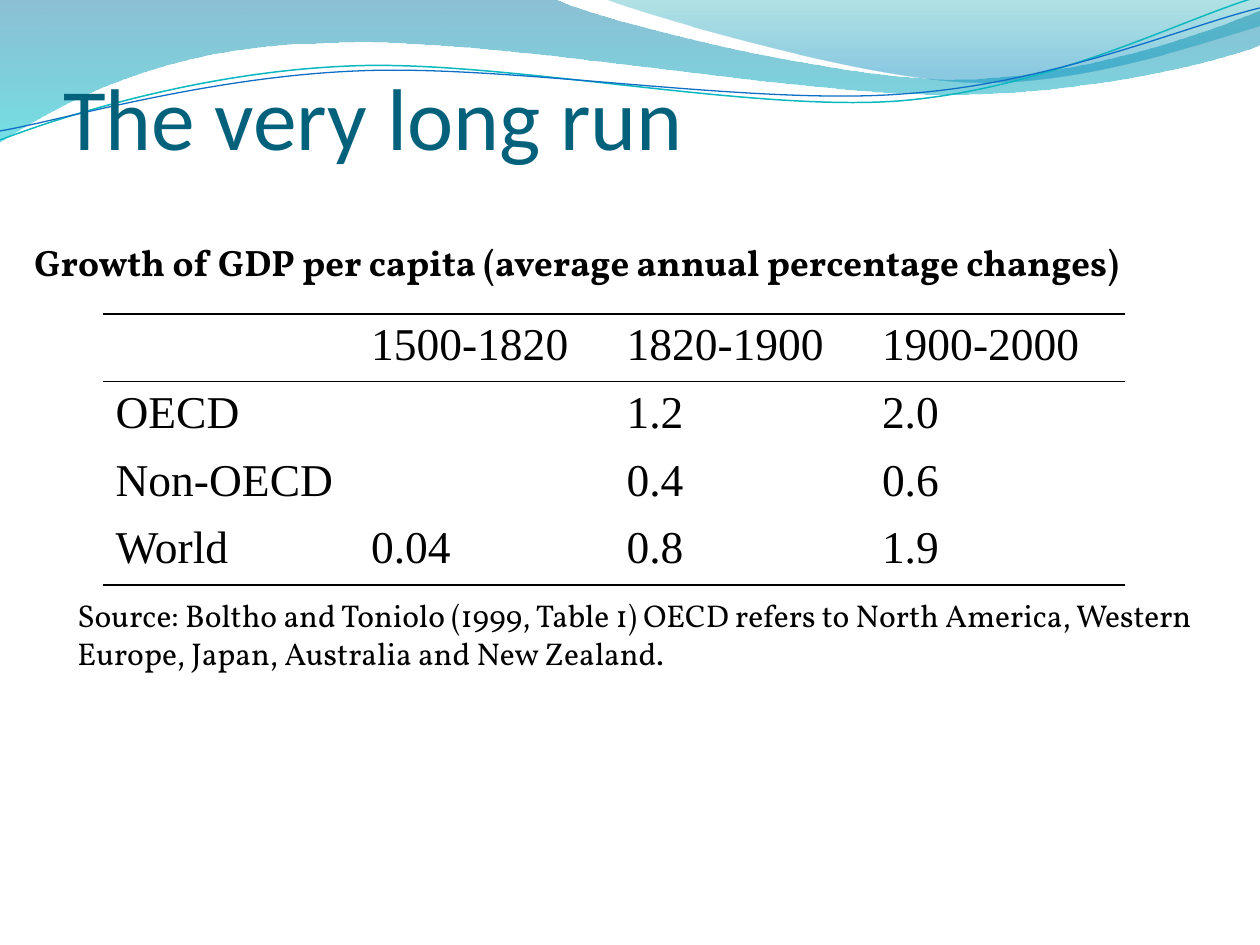
from lxml.etree import SubElement
from pptx import Presentation
from pptx.dml.color import RGBColor
from pptx.enum.text import MSO_ANCHOR as Anchor, MSO_AUTO_SIZE as AutoSize, PP_ALIGN as Align
from pptx.oxml.ns import qn
from pptx.util import Emu, Pt

COLORS = {"title": "04617B", "text": "000000", "rule": "000000",
          "teal": "0AB8BF", "blue": "0F6FC6", "deep": "0074A1",
          "aqua": "00C6CF", "sea": "00A1A9", "sky": "008BBF"}
TITLE = "The very long run"
CAPTION = "Growth of GDP per capita (average annual percentage changes)"
SOURCE = ("Source: Boltho and Toniolo (1999, Table 1) OECD refers to North America, "
          "Western Europe, Japan, Australia and New Zealand.")
ROWS = [("", "1500-1820", "1820-1900", "1900-2000"),
        ("OECD", "", "1.2", "2.0"),
        ("Non-OECD", "", "0.4", "0.6"),
        ("World", "0.04", "0.8", "1.9")]
RULES = {0: ("T", "B"), 1: ("T",), 3: ("B",)}
BANDS = [
    ([(0, 0), (554, -1), (600, 21, 837, 79, 955, 79), (1075, 79, 1207, 33, 1260, 11),
      (1261, 45), (1239, 55, 1096, 96, 940, 94), (784, 94, 481, 35, 324, 43),
      (163, 45, 58, 105, -1, 142)], [(0, "deep", 45), (100, "aqua", 55)]),
    ([(604, -1), (641, 14, 859, 78, 969, 82), (1079, 87, 1211, 40, 1260, 26),
      (1260, 0)], [(0, "sea", 30), (80, "sky", 45)]),
]
STRANDS = [
    ([(0, 140), (60, 117, 199, 72, 349, 66), (498, 59, 747, 112, 898, 101),
      (1050, 89, 1182, 19, 1257, -3)], "teal", 0.85),
    ([(0, 131), (59, 121, 207, 77, 357, 71), (508, 64, 752, 106, 903, 94),
      (1053, 84, 1185, 26, 1260, 8)], "blue", 0.75),
]
SCALE = 914400 / 126
HANGING = 49


def px(value):
    """Turn pixels into EMU."""
    return Emu(round(value * SCALE))


def color(name):
    """Look up a colour by name."""
    return RGBColor.from_string(COLORS[name])


def add_wave(page, outline, close):
    """Add one outline of lines and cubic curves."""
    points = [(px(part[i]), px(part[i + 1]))
              for part in outline for i in range(0, len(part), 2)]
    builder = page.shapes.build_freeform(*points[0])
    builder.add_line_segments(points[1:], close=close)
    wave = builder.convert_to_shape()
    wave.shadow.inherit = False
    segments = iter(list(wave._element.iter(qn("a:lnTo"))))
    for part in outline[1:]:
        group = [next(segments) for _ in range(len(part) // 2)]
        if len(group) == 3:
            first = group[0]
            curve = SubElement(first.getparent(), qn("a:cubicBezTo"))
            first.addprevious(curve)
            for segment in group:
                curve.append(segment[0])
                segment.getparent().remove(segment)
    return wave


def fill_gradient(shape, stops):
    """Fill a shape from top to bottom with translucent stops."""
    shape.fill.gradient()
    shape.fill.gradient_angle = 270
    for stop, (position, name, _) in zip(shape.fill.gradient_stops, stops):
        stop.position = position / 100
        stop.color.rgb = color(name)
    for node, (_, _, opacity) in zip(shape._element.iter(qn("a:srgbClr")), stops):
        SubElement(node, qn("a:alpha"), val=str(opacity * 1000))


def write(para, text, font, size, name="text", bold=False):
    """Add one formatted run."""
    span = para.add_run()
    span.text = text
    span.font.name = font
    span.font.size = Pt(size)
    span.font.bold = bold
    span.font.color.rgb = color(name)


def place(box, left, top, width, height):
    """Put a box at a pixel position."""
    box.left, box.top, box.width, box.height = map(px, (left, top, width, height))


def add_label(page, bounds, text, size, wrap, align, bold=False, inset=6):
    """Add a text box of one paragraph."""
    box = page.shapes.add_textbox(*map(px, bounds))
    frame = box.text_frame
    frame.word_wrap = wrap
    frame.auto_size = AutoSize.SHAPE_TO_FIT_TEXT
    frame.vertical_anchor = Anchor.MIDDLE
    frame.margin_top = px(inset)
    frame.paragraphs[0].alignment = align
    write(frame.paragraphs[0], text, "Vollkorn", size, bold=bold)


def rule_cell(cell, sides):
    """Draw the given sides of a cell and clear the others."""
    props = cell._tc.get_or_add_tcPr()
    for side in "LRTB":
        line = SubElement(props, qn("a:ln" + side), w=str(Pt(1)))
        if side in sides:
            solid = SubElement(line, qn("a:solidFill"))
            SubElement(solid, qn("a:srgbClr"), val=COLORS["rule"])
        else:
            SubElement(line, qn("a:noFill"))
    cell.fill.background()


def add_growth_table(page):
    """Add the table of growth rates."""
    table = page.shapes.add_table(len(ROWS), len(ROWS[0]),
                                  *map(px, (103, 314, 1022, 271))).table
    table.first_row = table.horz_banding = False
    for r, values in enumerate(ROWS):
        for c, value in enumerate(values):
            cell = table.cell(r, c)
            rule_cell(cell, RULES.get(r, ()))
            if value:
                para = cell.text_frame.paragraphs[0]
                props = para._p.get_or_add_pPr()
                props.set("marL", str(px(HANGING)))
                props.set("indent", str(px(-HANGING)))
                write(para, value, "Times New Roman", 26)


def add_title(page):
    """Format the title and bring it in front of the waves."""
    title = page.shapes.title
    place(title, 63, 38, 1134, 130)
    frame = title.text_frame
    frame.auto_size = AutoSize.NONE
    frame.vertical_anchor = Anchor.BOTTOM
    frame.margin_left = frame.margin_right = frame.margin_bottom = 0
    frame.margin_top = px(6)
    frame.paragraphs[0].alignment = Align.LEFT
    write(frame.paragraphs[0], TITLE, "Calibri", 50, "title")
    page.shapes._spTree.append(title._element)


def build():
    """Build and save the slide."""
    deck = Presentation()
    deck.slide_width, deck.slide_height = px(1260), px(945)
    page = deck.slides.add_slide(deck.slide_layouts[5])
    for outline, stops in BANDS:
        band = add_wave(page, outline, True)
        fill_gradient(band, stops)
        band.line.fill.background()
    for outline, name, width in STRANDS:
        strand = add_wave(page, outline, False)
        strand.fill.background()
        strand.line.color.rgb = color(name)
        strand.line.width = Pt(width)
    add_title(page)
    add_label(page, (22, 233, 1118, 58), CAPTION, 21, False, Align.JUSTIFY, bold=True)
    add_growth_table(page)
    add_label(page, (65, 513, 1178, 166), SOURCE, 18, True, Align.LEFT, inset=82)
    deck.save("out.pptx")


build()
